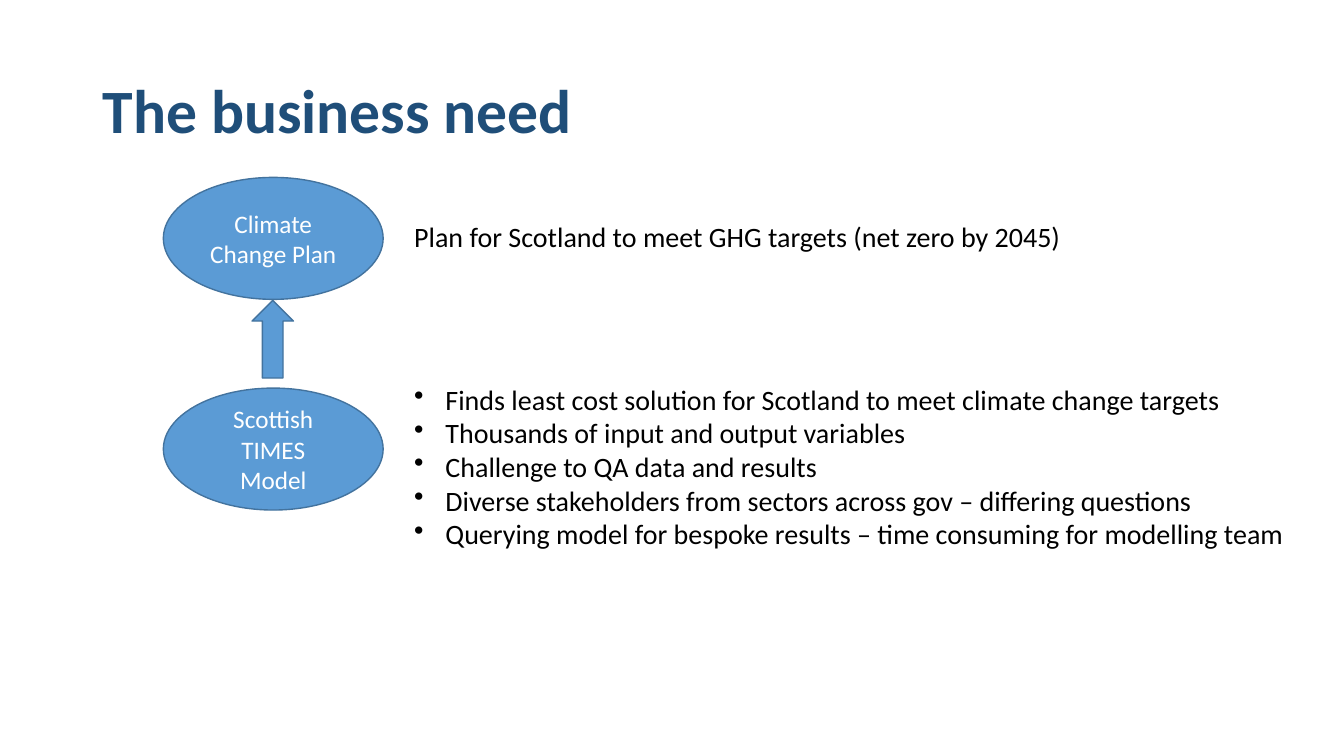
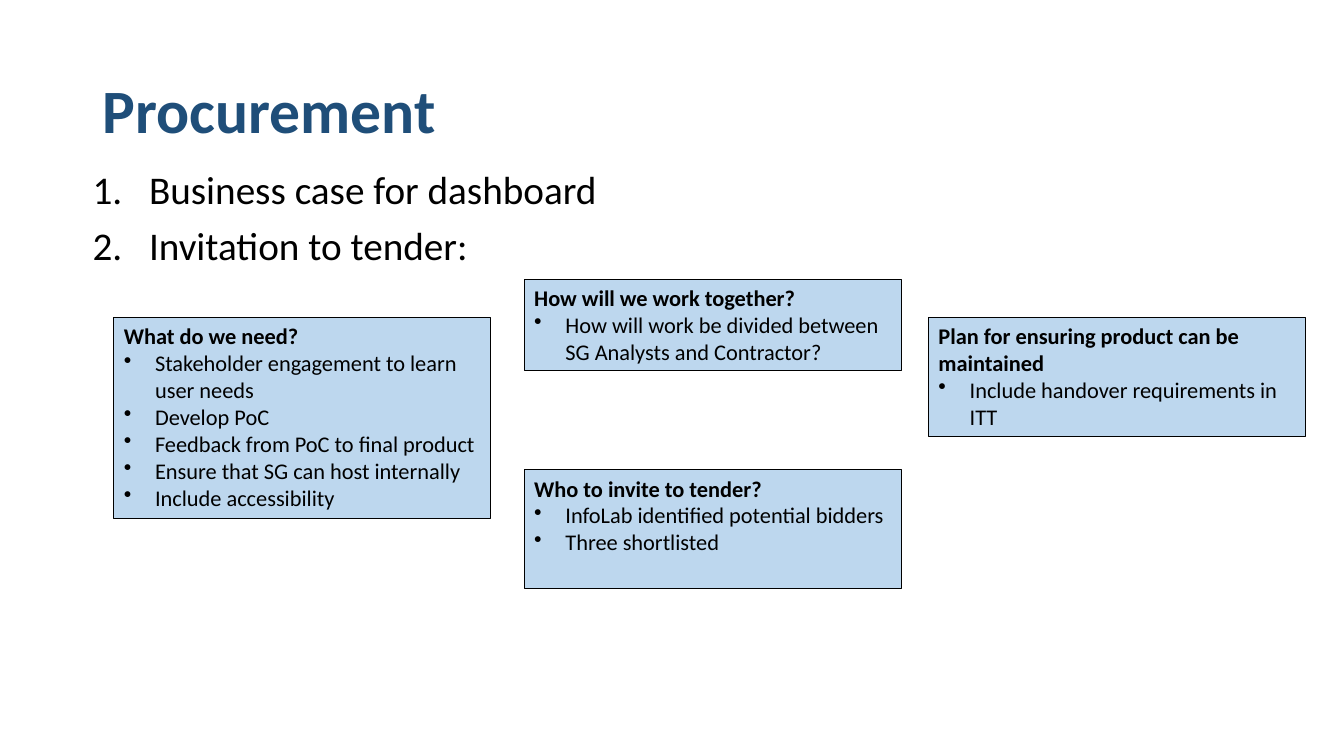
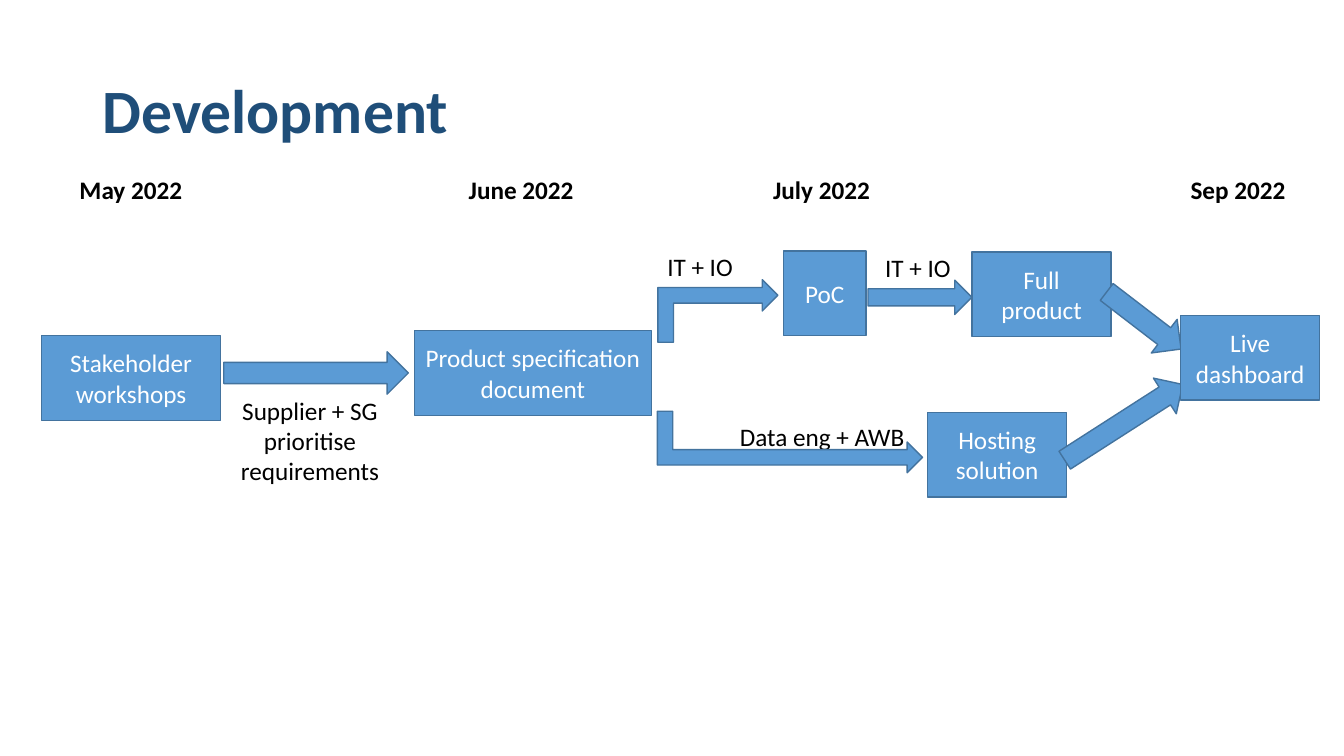
from dataclasses import dataclass, replace
from typing import NamedTuple

from lxml.etree import SubElement
from pptx import Presentation
from pptx.dml.color import RGBColor
from pptx.enum.shapes import MSO_SHAPE
from pptx.enum.text import MSO_ANCHOR, PP_ALIGN
from pptx.oxml.ns import qn
from pptx.util import Inches, Pt

COLORS = {
    "title": "1F4E79",
    "accent": "5B9BD5",
    "outline": "43739E",
    "panel": "BDD7EE",
    "ink": "000000",
    "paper": "FFFFFF",
}
FONT = "Calibri"
BULLET = ("a:buChar", {"char": "•"})
NUMBER = ("a:buAutoNum", {"type": "arabicPeriod"})


class Area(NamedTuple):
    left: float
    top: float
    width: float
    height: float


@dataclass(frozen=True)
class Style:
    size: int
    color: str = "ink"
    bold: bool = False
    align: PP_ALIGN = PP_ALIGN.LEFT
    marker: tuple | None = None
    indent: float = 0.31
    line_spacing: float = 1.0
    space_before: int = 0


@dataclass(frozen=True)
class Arrow:
    area: Area
    rotation: float = 0
    preset: MSO_SHAPE = MSO_SHAPE.RIGHT_ARROW
    flipped: bool = False


@dataclass(frozen=True)
class Panel:
    area: Area
    heading: str
    points: tuple[str, ...]


TITLE = Style(44, "title", bold=True, line_spacing=0.9)
NODE = Style(18, "paper", align=PP_ALIGN.CENTER)
LABEL = Style(18)
MONTH = replace(LABEL, bold=True)
BODY = Style(20)
STEPS = Style(28, marker=NUMBER, indent=0.56, line_spacing=0.9, space_before=10)
PANEL_HEADING = Style(16, bold=True)
PANEL_POINT = Style(16, marker=BULLET)


# Shared drawing functions
def rgb(name: str) -> RGBColor:
    return RGBColor.from_string(COLORS[name])


def write(frame, lines, style: Style, start: int = 0) -> None:
    """Write one paragraph per line, beginning at paragraph number start."""
    for number, line in enumerate(lines, start):
        paragraph = frame.paragraphs[0] if number == 0 else frame.add_paragraph()
        paragraph.alignment = style.align
        paragraph.line_spacing = style.line_spacing
        paragraph.space_before = Pt(style.space_before)
        if style.marker:
            tag, attributes = style.marker
            properties = paragraph._p.get_or_add_pPr()
            properties.set("marL", str(Inches(style.indent)))
            properties.set("indent", str(-Inches(style.indent)))
            SubElement(properties, qn(tag), attributes)
        run = paragraph.add_run()
        run.text = line
        run.font.name = FONT
        run.font.size = Pt(style.size)
        run.font.bold = style.bold
        run.font.color.rgb = rgb(style.color)


def add_text(slide, area: Area, lines, style: Style,
             anchor: MSO_ANCHOR = MSO_ANCHOR.TOP, wrap: bool = True) -> None:
    frame = slide.shapes.add_textbox(*map(Inches, area)).text_frame
    frame.word_wrap = wrap
    frame.vertical_anchor = anchor
    write(frame, lines, style)


def add_label(slide, area: Area, *lines: str, style: Style = LABEL) -> None:
    add_text(slide, area, lines, style, wrap=False)


def add_figure(slide, preset: MSO_SHAPE, area: Area, fill: str = "accent",
               outline: str = "outline", weight: float = 1):
    figure = slide.shapes.add_shape(preset, *map(Inches, area))
    figure.shadow.inherit = False
    figure.fill.solid()
    figure.fill.fore_color.rgb = rgb(fill)
    figure.line.color.rgb = rgb(outline)
    figure.line.width = Pt(weight)
    return figure


def add_node(slide, area: Area, text: str,
             preset: MSO_SHAPE = MSO_SHAPE.RECTANGLE) -> None:
    frame = add_figure(slide, preset, area).text_frame
    frame.word_wrap = True
    frame.vertical_anchor = MSO_ANCHOR.MIDDLE
    write(frame, [text], NODE)


def add_arrow(slide, arrow: Arrow) -> None:
    figure = add_figure(slide, arrow.preset, arrow.area)
    figure.rotation = arrow.rotation
    if arrow.flipped:
        figure._element.spPr.xfrm.set("flipH", "1")


def add_panel(slide, panel: Panel) -> None:
    frame = add_figure(slide, MSO_SHAPE.RECTANGLE, panel.area,
                       "panel", "ink", 0.75).text_frame
    frame.word_wrap = True
    frame.vertical_anchor = MSO_ANCHOR.TOP
    write(frame, [panel.heading], PANEL_HEADING)
    write(frame, panel.points, PANEL_POINT, start=1)


def add_titled_slide(deck, title: str):
    slide = deck.slides.add_slide(deck.slide_layouts[6])
    add_text(slide, Area(0.92, 0.4, 11.5, 1.45), [title], TITLE, MSO_ANCHOR.MIDDLE)
    return slide


# Slide 1: plan fed by the model
def build_business_need(deck) -> None:
    slide = add_titled_slide(deck, "The business need")
    for top, text in ((1.76, "Climate Change Plan"), (3.85, "Scottish TIMES Model")):
        add_node(slide, Area(1.62, top, 2.18, 1.21), text, MSO_SHAPE.OVAL)
    add_arrow(slide, Arrow(Area(2.32, 3.16, 0.77, 0.41), 270))
    add_label(slide, Area(4.01, 2.13, 6.67, 0.44),
              "Plan for Scotland to meet GHG targets (net zero by 2045)", style=BODY)
    add_text(slide, Area(4.01, 3.62, 9, 2.01), [
        "Finds least cost solution for Scotland to meet climate change targets",
        "Thousands of input and output variables",
        "Challenge to QA data and results",
        "Diverse stakeholders from sectors across gov – differing questions",
        "Querying model for bespoke results – time consuming for modelling team",
    ], replace(BODY, marker=BULLET), MSO_ANCHOR.MIDDLE)


# Slide 2: steps and tender questions
def build_procurement(deck) -> None:
    slide = add_titled_slide(deck, "Procurement")
    add_text(slide, Area(0.82, 1.64, 11.5, 1.2),
             ["Business case for dashboard", "Invitation to tender:"], STEPS)
    width = 3.74
    panels = (
        Panel(Area(1.13, 3.15, width, 1.99), "What do we need?", (
            "Stakeholder engagement to learn user needs",
            "Develop PoC",
            "Feedback from PoC to final product",
            "Ensure that SG can host internally",
            "Include accessibility",
        )),
        Panel(Area(5.2, 2.77, width, 0.91), "How will we work together?",
              ("How will work be divided between SG Analysts and Contractor?",)),
        Panel(Area(9.21, 3.15, width, 1.18),
              "Plan for ensuring product can be maintained",
              ("Include handover requirements in ITT",)),
        Panel(Area(5.2, 4.66, width, 1.18), "Who to invite to tender?",
              ("InfoLab identified potential bidders", "Three shortlisted")),
    )
    for panel in panels:
        add_panel(slide, panel)


# Slide 3: timeline and work flow
def build_development(deck) -> None:
    slide = add_titled_slide(deck, "Development")
    months = ((0.69, 1.23, "May 2022"), (4.55, 1.25, "June 2022"),
              (7.57, 1.17, "July 2022"), (11.71, 1.15, "Sep 2022"))
    for left, width, month in months:
        add_label(slide, Area(left, 1.68, width, 0.4), month, style=MONTH)

    node_height = 0.84
    stages = (
        (0.41, 3.33, 1.78, "Stakeholder workshops"),
        (4.11, 3.28, 2.35, "Product specification document"),
        (7.77, 2.49, 0.82, "PoC"),
        (9.2, 4.09, 1.38, "Hosting solution"),
        (9.64, 2.5, 1.38, "Full product"),
    )
    for left, top, width, stage in stages:
        add_node(slide, Area(left, top, width, node_height), stage)

    add_label(slide, Area(2.25, 3.87, 1.65, 1.01), "Supplier + SG", "prioritise",
              "requirements", style=replace(LABEL, align=PP_ALIGN.CENTER))
    add_label(slide, Area(6.52, 2.44, 0.86, 0.4), "IT + IO")
    add_label(slide, Area(8.68, 2.45, 0.86, 0.4), "IT + IO")
    add_label(slide, Area(7.24, 4.13, 1.91, 0.4), "Data eng + AWB")

    bent = MSO_SHAPE.BENT_UP_ARROW
    arrows = (
        Arrow(Area(2.22, 3.49, 1.83, 0.42)),
        Arrow(Area(8.61, 2.78, 1.03, 0.34)),
        Arrow(Area(7.53, 3.07, 0.61, 2.63), 90, bent),
        Arrow(Area(6.81, 2.49, 0.62, 1.19), 90, bent, flipped=True),
        Arrow(Area(10.88, 2.97, 0.93, 0.42), 37.5),
        Arrow(Area(10.45, 3.98, 1.39, 0.42), 327.3),
    )
    for arrow in arrows:
        add_arrow(slide, arrow)
    # The last stage covers the arrow tips
    add_node(slide, Area(11.71, 3.13, 1.38, node_height), "Live dashboard")


def main() -> None:
    deck = Presentation()
    deck.slide_width, deck.slide_height = Inches(13.33), Inches(7.5)
    build_business_need(deck)
    build_procurement(deck)
    build_development(deck)
    deck.save("out.pptx")


if __name__ == "__main__":
    main()
